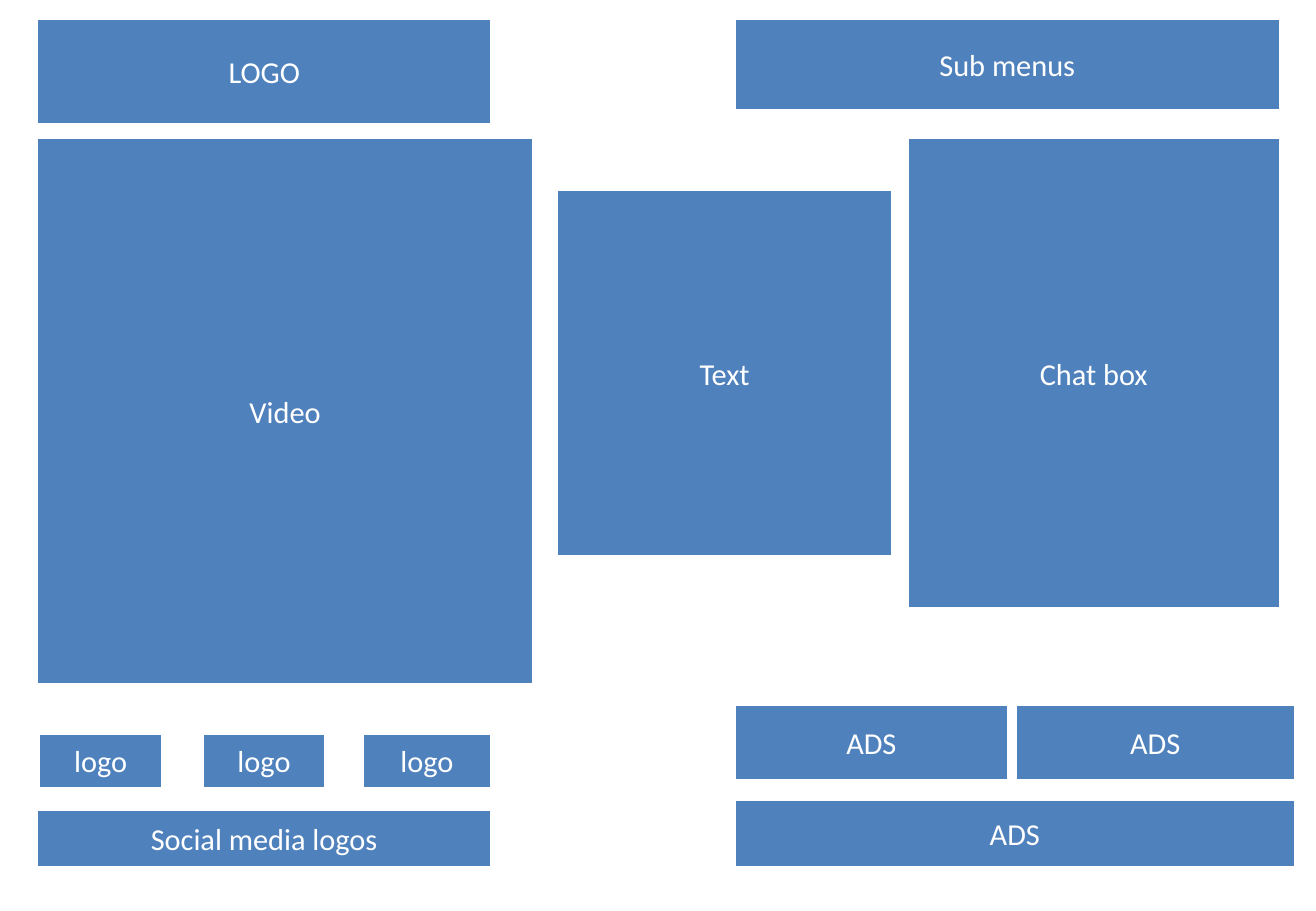
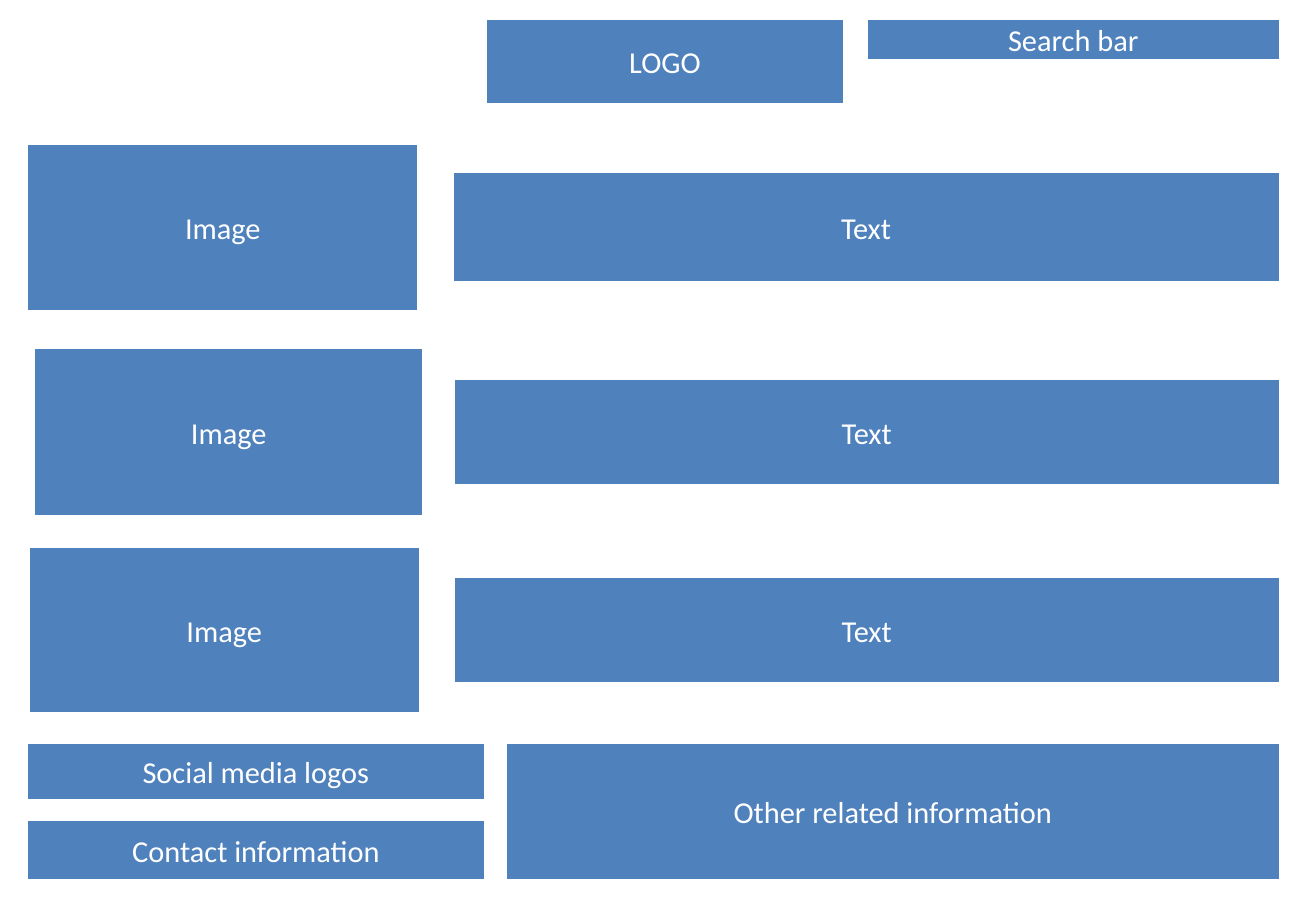
from typing import NamedTuple

from pptx import Presentation
from pptx.dml.color import RGBColor
from pptx.enum import shapes, text
from pptx.util import Pt

BLUE, WHITE = "4F81BD", "FFFFFF"
FONT, FONT_SIZE = "Calibri", 18
WIDTH, HEIGHT = 780, 540
TOP, RIGHT = 10.8, 758.9  # edges shared by both wireframes


class Block(NamedTuple):
    label: str
    left: float
    top: float
    width: float
    height: float


class ArticleRow(NamedTuple):
    image: Block
    text_left: float
    text_height: float


def rgb(value: str) -> RGBColor:
    return RGBColor.from_string(value)


def to_right_edge(label: str, left: float, top: float, height: float) -> Block:
    return Block(label, left, top, RIGHT - left, height)


def article_blocks(row: ArticleRow) -> list[Block]:
    """Pair an image with a text bar centred on its height."""
    image = row.image
    text_top = image.top + (image.height - row.text_height) / 2
    return [image, to_right_edge("Text", row.text_left, text_top, row.text_height)]


def draw_block(slide, block: Block) -> None:
    sp = slide.shapes.add_shape(
        shapes.MSO_SHAPE.RECTANGLE,
        Pt(block.left), Pt(block.top), Pt(block.width), Pt(block.height))
    sp.shadow.inherit = False
    sp.fill.solid()
    sp.fill.fore_color.rgb = rgb(BLUE)
    sp.line.color.rgb = rgb(WHITE)
    sp.line.width = Pt(2)

    tf = sp.text_frame
    tf.text = block.label
    tf.word_wrap = True
    tf.vertical_anchor = text.MSO_ANCHOR.MIDDLE
    p = tf.paragraphs[0]
    p.alignment = text.PP_ALIGN.CENTER
    font = p.runs[0].font
    font.name, font.size = FONT, Pt(FONT_SIZE)
    font.color.rgb = rgb(WHITE)


def video_page() -> list[Block]:
    left, left_width = 21.6, 270
    ads_left, ads_width = 435.2, 332.6
    body_top, ads_top, ad_height = 81.4, 417.6, 45.4
    half = ads_width / 2
    logos = [Block("logo", x, 434.5, width, 32.8)
             for x, width in ((23, 73.4), (119.8, 73.4), (214.6, 77))]
    return [
        Block("LOGO", left, TOP, left_width, 62.9),
        to_right_edge("Sub menus", ads_left, TOP, 54.7),
        Block("Video", left, body_top, 294.8, 324.7),
        Block("Text", 329.8, 112.3, 199.4, 217.7),
        to_right_edge("Chat box", 537.8, body_top, 279.4),
        *logos,
        Block("Social media logos", left, 479.6, left_width, 34.9),
        Block("ADS", ads_left, ads_top, half - 3.8, ad_height),
        Block("ADS", ads_left + half, ads_top, half, ad_height),
        Block("ADS", ads_left, 473.7, ads_width, 40.7),
    ]


def article_page() -> list[Block]:
    left, left_width, footer_top = 15.8, 271.9, 439.9
    rows = [
        ArticleRow(Block("Image", left, 84.7, 232.6, 100), 267.8, 66.2),
        ArticleRow(Block("Image", 19.9, 205.9, 231.4, 100.5), 268.6, 63.4),
        ArticleRow(Block("Image", 16.6, 324, 232.6, 99), 268.6, 63.4),
    ]
    return [
        Block("LOGO", 287.6, TOP, 213.1, 51.1),
        to_right_edge("Search bar", 513.4, TOP, 25.5),
        *(block for row in rows for block in article_blocks(row)),
        Block("Social media logos", left, footer_top, left_width, 34.9),
        Block("Contact information", left, 485.6, left_width, 36.4),
        to_right_edge("Other related information", 299.5, footer_top, 82.1),
    ]


def main() -> None:
    prs = Presentation()
    prs.slide_width, prs.slide_height = Pt(WIDTH), Pt(HEIGHT)
    for blocks in (video_page(), article_page()):
        slide = prs.slides.add_slide(prs.slide_layouts[6])
        for block in blocks:
            draw_block(slide, block)
    prs.save("out.pptx")


if __name__ == "__main__":
    main()
